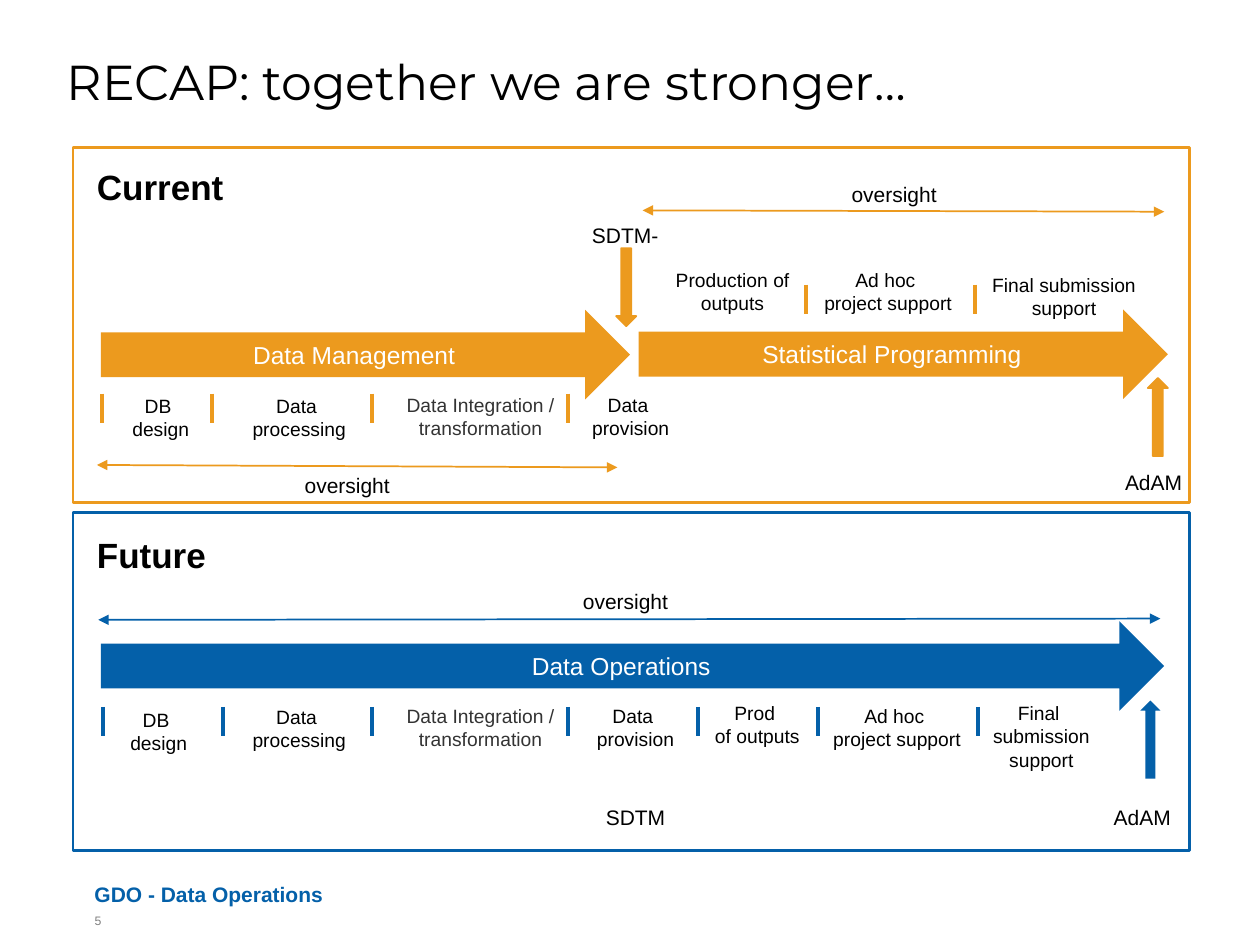
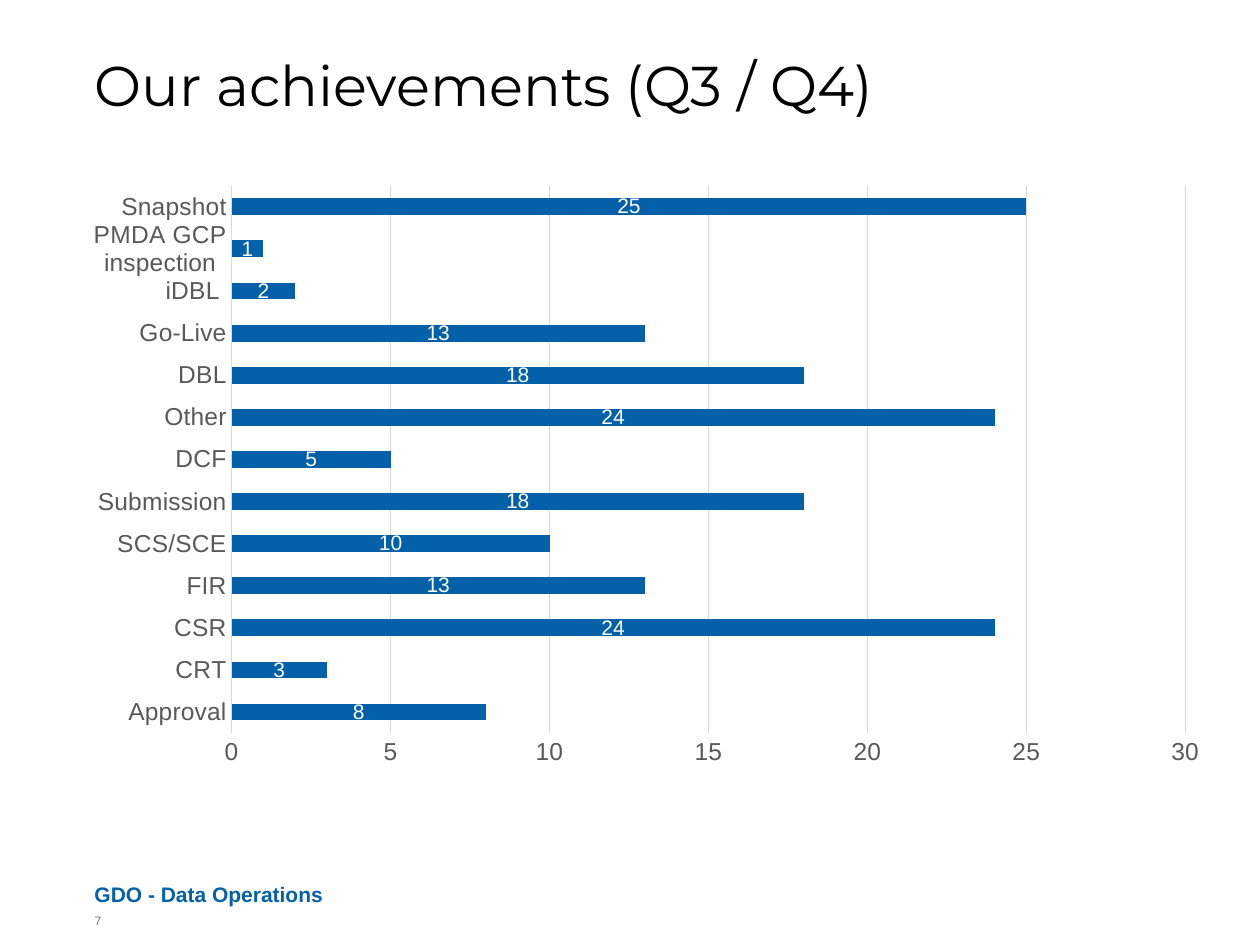
from copy import deepcopy

from lxml.etree import SubElement
from pptx import Presentation
from pptx.chart.data import CategoryChartData
from pptx.dml.color import RGBColor
from pptx.enum.chart import XL_CHART_TYPE, XL_LABEL_POSITION, XL_TICK_MARK
from pptx.enum.shapes import MSO_CONNECTOR, MSO_SHAPE
from pptx.enum.text import MSO_ANCHOR, MSO_AUTO_SIZE, PP_ALIGN
from pptx.oxml.ns import qn
from pptx.util import Pt

COLORS = {
    "orange": "EC9A1E", "blue": "0460A9", "white": "FFFFFF", "black": "000000",
    "charcoal": "333333", "axis": "595959", "grid": "D9D9D9", "page": "7F7F7F",
}

# Font formats
TITLE = {"name": "Montserrat", "size": Pt(28)}
BIG_TITLE = {"name": "Montserrat", "size": Pt(32)}
HEADING = {"name": "Arial", "size": Pt(20), "bold": True}
ARROW = {"name": "Arial", "size": Pt(14)}
NOTE = {"name": "Arial", "size": Pt(12)}
STEP = {"name": "Arial", "size": Pt(11)}
FOOTER = {"name": "Arial", "size": Pt(12), "bold": True}
PAGE = {"name": "Arial", "size": Pt(7)}

# Text frame formats
NO_INSETS = {"margin_left": 0, "margin_right": 0, "margin_top": 0, "margin_bottom": 0}
GROW = {"auto_size": MSO_AUTO_SIZE.SHAPE_TO_FIT_TEXT}
CENTER = {"alignment": PP_ALIGN.CENTER}

# Slide 1: step labels as text, left, top, width, and colour where not black
INTEGRATION = "Data Integration / transformation"
STEPS = [
    # Current
    ("DB \ndesign", 56.2, 221.8, 71.3),
    ("Data \nprocessing", 133.2, 221.8, 75.6),
    (INTEGRATION, 221, 221, 107.3, "charcoal"),
    ("Data \nprovision", 322.6, 221, 75.6),
    ("Production of outputs", 365, 149.8, 107.3),
    ("Ad hoc \nproject support", 462.2, 149.8, 90.7),
    ("Final submission support", 554.4, 152.6, 107.3),
    # Future
    ("DB \ndesign", 64.1, 401, 53.3),
    ("Data \nprocessing", 133.2, 399.6, 75.6),
    (INTEGRATION, 221, 398.9, 107.3, "charcoal"),
    ("Data \nprovision", 328.3, 398.9, 69.8),
    ("Prod\n of outputs", 395.3, 397.4, 72),
    ("Ad hoc \nproject support", 467.3, 398.9, 90.7),
    ("Final \nsubmission support", 554.4, 397.4, 81.4),
]
# Rows of step dividers: colour, top, x positions
DIVIDERS = [
    ("orange", 225, [58.3, 121, 212.4, 324.7]),
    ("orange", 162.7, [460.8, 557.3]),
    ("blue", 404, [59, 127.4, 212.4, 324.7, 398.9, 467.3, 558.7]),
]
PROCESS_ARROWS = [
    ("Data Management", "orange", 57.6, 177.1, 302.4),
    ("Statistical Programming", "orange", 365, 176.8, 302.4),
    ("Data Operations", "blue", 57.6, 355, 607.7),
]
OVERSIGHT_SPANS = [
    ("orange", 367.2, 120.2, 665.3, 121),
    ("orange", 55.4, 265.7, 352.8, 267.1),
    ("blue", 56.2, 354.2, 663.1, 353.5),
]
# Notes: text, left, top, width, wrap
NOTES = [
    ("oversight", 479.5, 100.1, 73.4, True),
    ("oversight", 167, 266.4, 73.4, True),
    ("oversight", 326, 332.6, 73.4, True),
    ("SDTM-", 331.2, 123.8, 52.6, False),
    ("AdAM", 635.8, 265, 47.5, False),
    ("AdAM", 629.3, 456.4, 51.1, True),
    ("SDTM", 339.1, 456.5, 49, False),
]

# Slide 2: achievements, from the bottom bar up
ACHIEVEMENTS = {
    "Approval": 8, "CRT": 3, "CSR": 24, "FIR": 13, "SCS/SCE": 10,
    "Submission": 18, "DCF": 5, "Other": 24, "DBL": 18, "Go-Live": 13,
    "iDBL ": 2, "PMDA GCP inspection": 1, "Snapshot": 25,
}
PLOT_AREA = {"x": 0.17, "y": 0.01, "w": 0.79, "h": 0.79}


def rgb(color):
    return RGBColor.from_string(COLORS[color])


def apply(target, values):
    for name, value in values.items():
        setattr(target, name, value)


def format_font(font, values, color):
    apply(font, values)
    font.color.rgb = rgb(color)


def write(shape, text, font, color="black", frame=None, layout=None):
    """Fill a shape with one formatted paragraph."""
    text_frame = shape.text_frame
    apply(text_frame, {"word_wrap": True, **(frame or {})})
    paragraph = text_frame.paragraphs[0]
    paragraph.text = text.replace("\n", "\v")
    apply(paragraph, layout or {})
    for run in paragraph.runs:
        format_font(run.font, font, color)
    # Line breaks take the size of the text around them
    for line_break in paragraph._p.findall(qn("a:br")):
        line_break.append(deepcopy(paragraph.runs[0]._r.rPr))


def add_text(slide, box, text, font, **formats):
    textbox = slide.shapes.add_textbox(*map(Pt, box))
    write(textbox, text, font, **formats)


def add_block(slide, kind, box, fill, line=None, width=1):
    shape = slide.shapes.add_shape(kind, *map(Pt, box))
    shape.shadow.inherit = False
    shape.fill.solid()
    shape.fill.fore_color.rgb = rgb(fill)
    if line:
        shape.line.color.rgb = rgb(line)
        shape.line.width = Pt(width)
    else:
        shape.line.fill.background()
    return shape


def add_line(slide, ends, color, width, arrows=False):
    connector = slide.shapes.add_connector(MSO_CONNECTOR.STRAIGHT, *map(Pt, ends))
    connector.line.color.rgb = rgb(color)
    connector.line.width = Pt(width)
    if arrows:
        for end in ("a:headEnd", "a:tailEnd"):
            SubElement(connector.line._get_or_add_ln(), qn(end), type="triangle")
    SubElement(connector._element.spPr, qn("a:effectLst"))


def add_panel(slide, heading, color, top, height, heading_top):
    add_block(slide, MSO_SHAPE.RECTANGLE, (41.8, top, 637.9, height), "white", color, 1.5)
    add_text(slide, (55.4, heading_top, 598.3, 23.8), heading, HEADING,
             frame=NO_INSETS, layout={"space_before": Pt(12)})


def add_base_slide(presentation, title, title_font, title_left, page):
    """Add a slide with the shared title and footer."""
    slide = presentation.slides.add_slide(presentation.slide_layouts[6])
    add_text(slide, (54, 500.4, 468, 18), "GDO - Data Operations", FOOTER, color="blue",
             frame={**NO_INSETS, "vertical_anchor": MSO_ANCHOR.BOTTOM})
    add_text(slide, (54, 522, 18, 18), page, PAGE, color="page", frame=NO_INSETS)
    add_text(slide, (title_left, 31.7, 620, 57), title, title_font,
             frame=NO_INSETS, layout={"line_spacing": 0.95})
    return slide


def add_bar_chart(slide, box, values):
    data = CategoryChartData()
    data.categories = list(values)
    data.add_series("Series 1", list(values.values()))
    chart = slide.shapes.add_chart(XL_CHART_TYPE.BAR_STACKED, *map(Pt, box), data).chart
    apply(chart, {"has_legend": False, "has_title": False})
    format_font(chart.font, ARROW, "black")

    # Bars and their labels
    plot = chart.plots[0]
    apply(plot, {"gap_width": 150, "overlap": 100, "vary_by_categories": False,
                 "has_data_labels": True})
    fill = plot.series[0].format.fill
    fill.solid()
    fill.fore_color.rgb = rgb("blue")
    apply(plot.data_labels, {"show_value": True, "position": XL_LABEL_POSITION.CENTER})
    format_font(plot.data_labels.font, NOTE, "white")

    # Axes and grid
    category_axis, value_axis = chart.category_axis, chart.value_axis
    for axis in (category_axis, value_axis):
        apply(axis, {"major_tick_mark": XL_TICK_MARK.NONE,
                     "minor_tick_mark": XL_TICK_MARK.NONE})
        format_font(axis.tick_labels.font, ARROW, "axis")
    apply(value_axis, {"minimum_scale": 0, "maximum_scale": 30, "major_unit": 5,
                       "has_major_gridlines": True})
    value_axis.format.line.fill.background()
    for line in (category_axis.format.line, value_axis.major_gridlines.format.line):
        line.color.rgb = rgb("grid")
        line.width = Pt(0.75)

    # Fixed inner plot area
    plot_area = chart._chartSpace.chart.plotArea
    for layout in plot_area.findall(qn("c:layout")):
        plot_area.remove(layout)
    layout = SubElement(plot_area, qn("c:layout"))
    plot_area.insert(0, layout)
    manual = SubElement(layout, qn("c:manualLayout"))
    SubElement(manual, qn("c:layoutTarget"), val="inner")
    for side in ("x", "y"):
        SubElement(manual, qn(f"c:{side}Mode"), val="edge")
    for side, share in PLOT_AREA.items():
        SubElement(manual, qn(f"c:{side}"), val=str(share))


def add_recap_slide(presentation):
    slide = add_base_slide(presentation, "RECAP: together we are stronger…", TITLE, 38.2, "5")
    add_panel(slide, "Current", "orange", 84.2, 203, 94.3)
    add_panel(slide, "Future", "blue", 293, 193, 304.6)

    # Process arrows
    for text, color, left, top, width in PROCESS_ARROWS:
        arrow = add_block(slide, MSO_SHAPE.RIGHT_ARROW, (left, top, width, 51.2), color)
        write(arrow, text, ARROW, "white", {"vertical_anchor": MSO_ANCHOR.MIDDLE}, CENTER)

    # Steps and dividers
    for text, left, top, width, *color in STEPS:
        add_text(slide, (left, top, width, 33.8), text, STEP,
                 color=color[0] if color else "black", frame=GROW, layout=CENTER)
    for color, top, positions in DIVIDERS:
        for x in positions:
            add_line(slide, (x, top, x, top + 16.6), color, 2.25)

    # Hand-over arrows
    for kind, left, top, color, line in [
        (MSO_SHAPE.DOWN_ARROW, 352.1, 141.8, "orange", "orange"),
        (MSO_SHAPE.UP_ARROW, 655.9, 216, "orange", "orange"),
        (MSO_SHAPE.UP_ARROW, 651.6, 400.3, "blue", None),
    ]:
        add_block(slide, kind, (left, top, 11.5, 44.6), color, line)

    # Oversight spans and notes
    for color, *ends in OVERSIGHT_SPANS:
        add_line(slide, ends, color, 1, arrows=True)
    for text, left, top, width, wrap in NOTES:
        add_text(slide, (left, top, width, 21.6), text, NOTE,
                 frame={**GROW, "word_wrap": wrap})


def main():
    presentation = Presentation()
    apply(presentation, {"slide_width": Pt(720), "slide_height": Pt(540)})
    add_recap_slide(presentation)
    slide = add_base_slide(presentation, "Our achievements (Q3 / Q4)", BIG_TITLE, 54, "7")
    add_bar_chart(slide, (15.1, 102.2, 689.8, 396), ACHIEVEMENTS)
    presentation.save("out.pptx")


if __name__ == "__main__":
    main()
